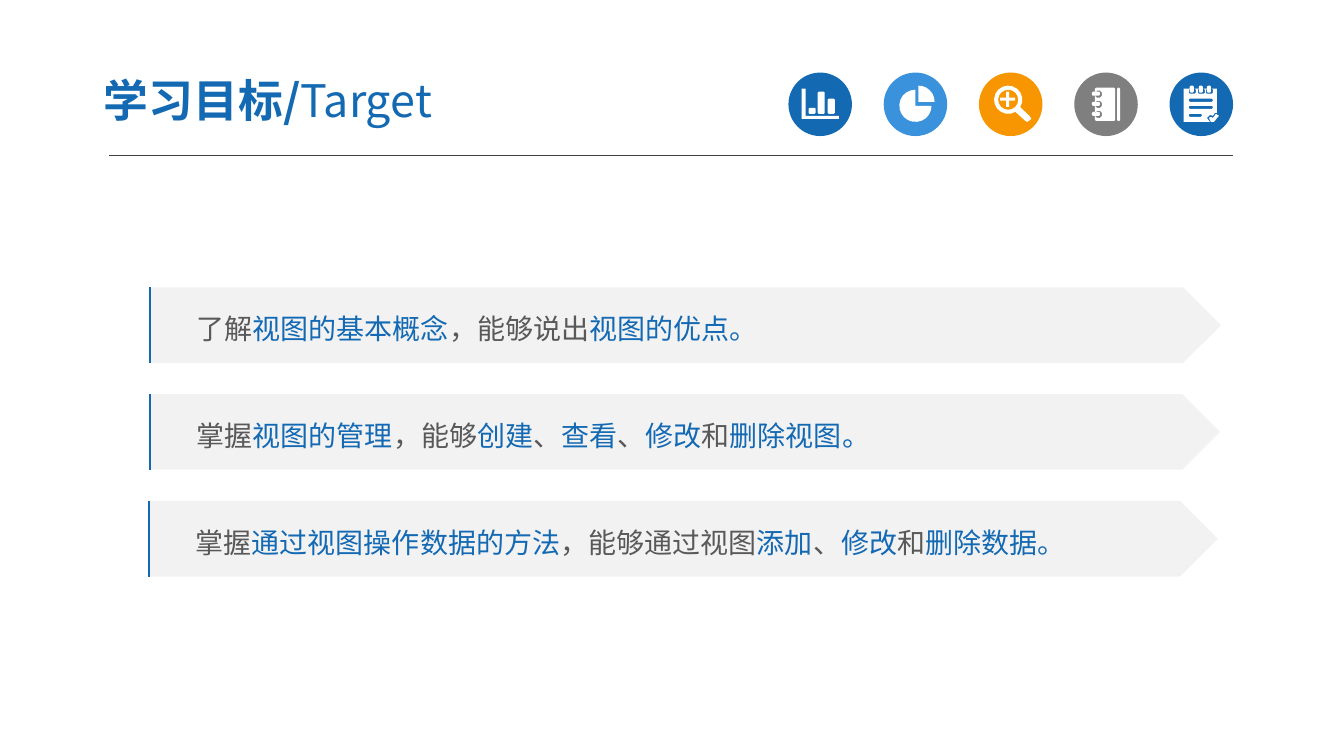
import math

from lxml import etree
from pptx import Presentation
from pptx import util as u
from pptx.dml.color import RGBColor
from pptx.enum import shapes, text
from pptx.oxml.ns import qn

FONT = "Noto Sans CJK SC"
BLUE, TEXT_BLUE, SKY, ORANGE = "1369B2", "1369B3", "3992DB", "F79600"
GRAY, BAND, DARK, RULE, WHITE = "7F7F7F", "F2F2F2", "595959", "404040", "FFFFFF"
PRESET = shapes.MSO_SHAPE
UNITS = 1000


def color(value):
    return RGBColor.from_string(value)


def add_text(paragraph, content, size=20, fill=DARK, bold=False):
    run = paragraph.add_run()
    run.text = content
    run.font.size = u.Pt(size)
    run.font.bold = bold
    run.font.name = FONT
    run.font.color.rgb = color(fill)
    east_asian = etree.SubElement(run.font._element, qn("a:ea"))
    east_asian.set("typeface", FONT)


def box(left, top, width, height, cut=0.01):
    right, bottom = left + width, top + height
    return [
        (left + cut, top), (right - cut, top), (right, top + cut), (right, bottom - cut),
        (right - cut, bottom), (left + cut, bottom), (left, bottom - cut), (left, top + cut),
    ]


def arc(x, y, radius, start, end, steps=16):
    angles = [math.radians(start + (end - start) * step / steps) for step in range(steps + 1)]
    return [(x + radius * math.cos(a), y + radius * math.sin(a)) for a in angles]


def bar_icon():
    axis = [(7.95, 0.88), (7.99, 0.88), (7.99, 1.15), (8.32, 1.15), (8.32, 1.18), (7.95, 1.18)]
    tops = [(8.02, 1.07), (8.11, 0.91), (8.21, 0.98)]
    return [axis] + [box(left, top, 0.07, 1.13 - top) for left, top in tops]


def pie_icon():
    return [
        [(9.08, 1.05)] + arc(9.08, 1.05, 0.16, 0, 270),
        [(9.11, 1.01)] + arc(9.11, 1.01, 0.16, -90, 0, 6),
    ]


def magnifier_icon():
    handle = [(10.21, 1.15), (10.23, 1.18), (10.19, 1.21), (10.17, 1.2)]
    plus = [
        (9.98, 0.91), (10.01, 0.91), (10.01, 0.97), (10.07, 0.97), (10.07, 1.0), (10.01, 1.0),
        (10.01, 1.06), (9.98, 1.06), (9.98, 1.0), (9.92, 1.0), (9.92, 0.97), (9.98, 0.97),
    ]
    return [arc(10, 0.99, 0.14, 59, 392) + handle, arc(10, 0.99, 0.1, 0, 360), plus]


def notebook_icon():
    contours = [box(10.86, 0.87, 0.2, 0.33), box(11.08, 0.87, 0.03, 0.33)]
    for middle in (0.93, 1.03, 1.13):
        contours.append(box(10.86, middle - 0.03, 0.07, 0.07, 0.02))
        contours.append(box(10.83, middle - 0.02, 0.08, 0.04))
    return contours


def notepad_icon():
    sheet = [
        (11.74, 0.88), (12.07, 0.88), (12.07, 1.12), (12.05, 1.12), (12.03, 1.15),
        (12.0, 1.14), (11.97, 1.17), (12.0, 1.21), (11.74, 1.21),
    ]
    check = [
        (12.08, 1.16), (12.04, 1.21), (12.01, 1.21), (11.99, 1.17),
        (12.01, 1.16), (12.03, 1.17), (12.06, 1.13), (12.09, 1.15),
    ]
    contours = [sheet, check]
    for middle in (11.82, 11.91, 11.99):
        contours.append(box(middle - 0.03, 0.88, 0.07, 0.05))
        contours.append(box(middle - 0.02, 0.85, 0.04, 0.07))
    for top, width in ((0.98, 0.24), (1.05, 0.24), (1.13, 0.13)):
        contours.append(box(11.79, top, width, 0.03))
    return contours


class TargetSlide:
    def __init__(self, presentation):
        self.slide = presentation.slides.add_slide(presentation.slide_layouts[5])

    def title(self, strong, light):
        title = self.slide.shapes.title
        title.left, title.top = u.Inches(0.9), u.Inches(0.63)
        title.width, title.height = u.Inches(5.22), u.Inches(0.72)
        frame = title.text_frame
        frame.auto_size = text.MSO_AUTO_SIZE.NONE
        frame.vertical_anchor = text.MSO_ANCHOR.MIDDLE
        frame.margin_left = frame.margin_right = u.Inches(0.13)
        frame.margin_top = frame.margin_bottom = u.Inches(0.07)
        paragraph = frame.paragraphs[0]
        paragraph.alignment = text.PP_ALIGN.LEFT
        paragraph.space_before = u.Pt(6.4)
        add_text(paragraph, strong, size=32, fill=BLUE, bold=True)
        add_text(paragraph, light, size=32, fill=BLUE)

    def shape(self, preset, left, top, width, height, fill):
        place = [u.Inches(value) for value in (left, top, width, height)]
        shape = self.slide.shapes.add_shape(preset, *place)
        shape.shadow.inherit = False
        shape.fill.solid()
        shape.fill.fore_color.rgb = color(fill)
        shape.line.fill.background()
        return shape

    def rule(self, start, end, stroke, points):
        ends = [u.Inches(value) for value in (*start, *end)]
        line = self.slide.shapes.add_connector(shapes.MSO_CONNECTOR.STRAIGHT, *ends)
        line.line.color.rgb = color(stroke)
        line.line.width = u.Pt(points)
        etree.SubElement(line._element.spPr, qn("a:effectLst"))

    def outline(self, contours, close=True):
        scaled = [[(x * UNITS, y * UNITS) for x, y in contour] for contour in contours]
        builder = self.slide.shapes.build_freeform(*scaled[0][0], scale=u.Inches(1) / UNITS)
        builder.add_line_segments(scaled[0][1:], close=close)
        for contour in scaled[1:]:
            builder.move_to(*contour[0])
            builder.add_line_segments(contour[1:], close=close)
        shape = builder.convert_to_shape()
        shape.shadow.inherit = False
        return shape

    def icon(self, left, fill, contours):
        self.shape(PRESET.OVAL, left, 0.72, 0.63, 0.63, fill)
        symbol = self.outline(contours)
        symbol.fill.solid()
        symbol.fill.fore_color.rgb = color(WHITE)
        symbol.line.fill.background()

    def goal(self, left, top, width, content):
        band = self.shape(PRESET.PENTAGON, left, top, width, 0.75, BAND)
        frame = band.text_frame
        frame.word_wrap = True
        frame.vertical_anchor = text.MSO_ANCHOR.MIDDLE
        frame.margin_left = u.Inches(0.47)
        paragraph = frame.paragraphs[0]
        paragraph.alignment = text.PP_ALIGN.LEFT
        paragraph.line_spacing = 1.2
        for index, part in enumerate(content.split("|")):
            add_text(paragraph, part, fill=TEXT_BLUE if index % 2 else DARK)
        edge = self.outline([[(left + 0.01, top + 0.75), (left + 0.01, top)]], close=False)
        edge.fill.background()
        edge.line.color.rgb = color(BLUE)
        edge.line.width = u.Pt(1.5)


def main():
    presentation = Presentation()
    presentation.slide_width = u.Inches(13.33)
    presentation.slide_height = u.Inches(7.5)
    target = TargetSlide(presentation)
    target.rule((1.08, 1.54), (12.23, 1.54), RULE, 0.75)

    icons = [
        (BLUE, bar_icon()),
        (SKY, pie_icon()),
        (ORANGE, magnifier_icon()),
        (GRAY, notebook_icon()),
        (BLUE, notepad_icon()),
    ]
    for index, (fill, contours) in enumerate(icons):
        target.icon(7.82 + index * 3.78 / 4, fill, contours)

    target.title("学习目标/", "Target")
    goals = [
        (1.48, 10.63, "了解|视图的基本概念|，能够说出|视图的优点。"),
        (1.48, 10.62, "掌握|视图的管理|，能够|创建|、|查看|、|修改|和|删除视图。"),
        (1.47, 10.61, "掌握|通过视图操作数据的方法|，能够通过视图|添加|、|修改|和|删除数据。"),
    ]
    for index, (left, width, content) in enumerate(goals):
        target.goal(left, 2.85 + index * 1.06, width, content)
    presentation.save("out.pptx")


if __name__ == "__main__":
    main()
